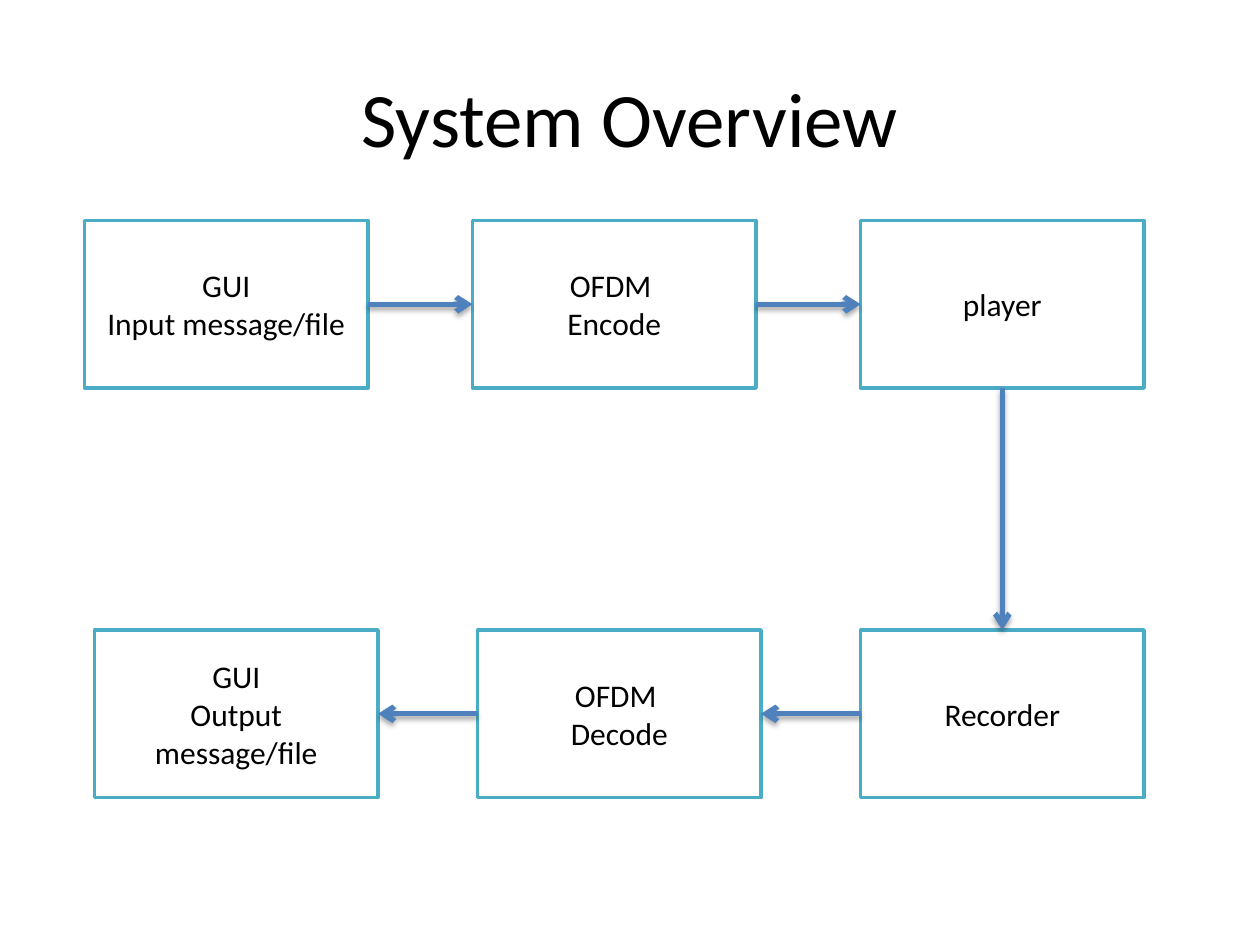
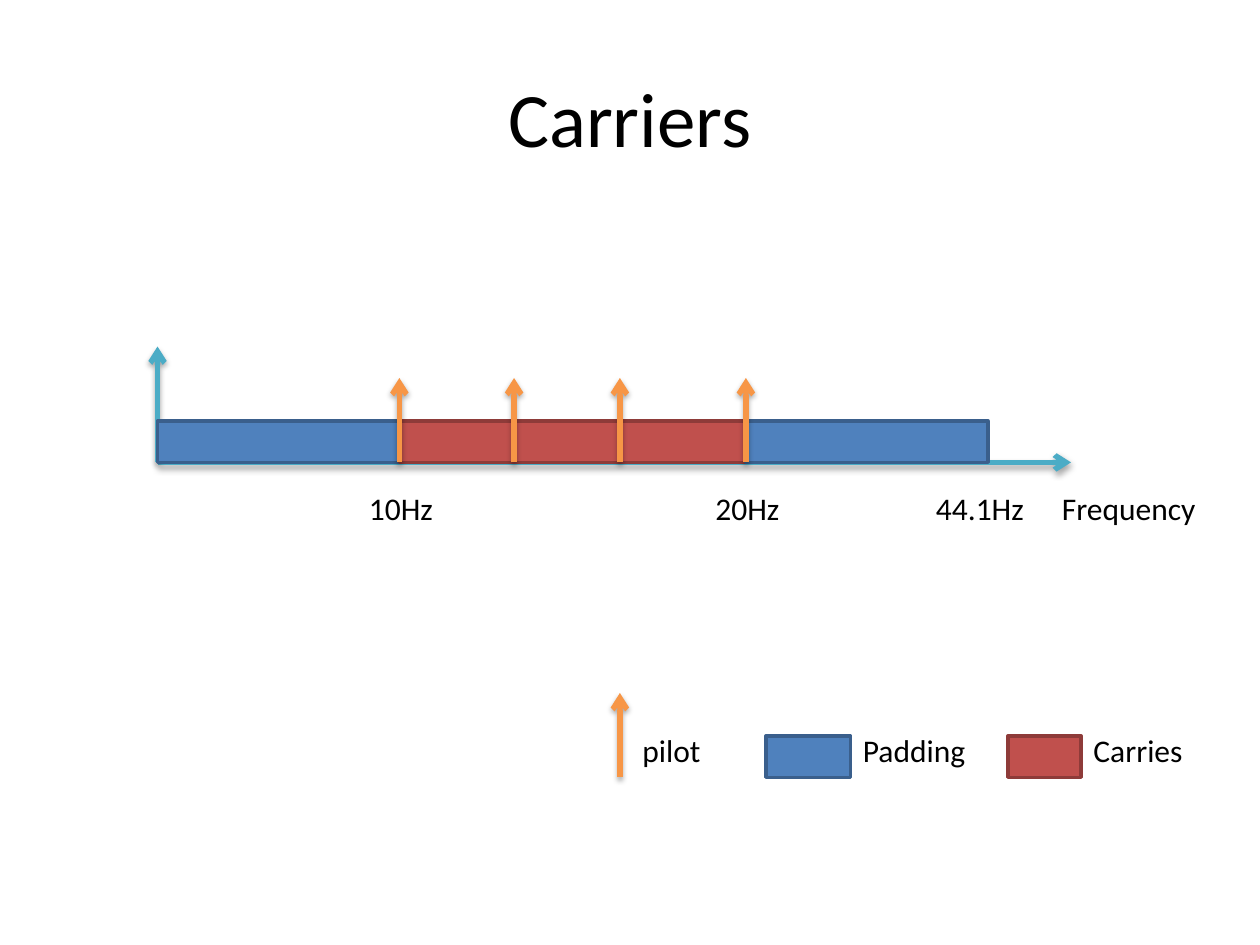
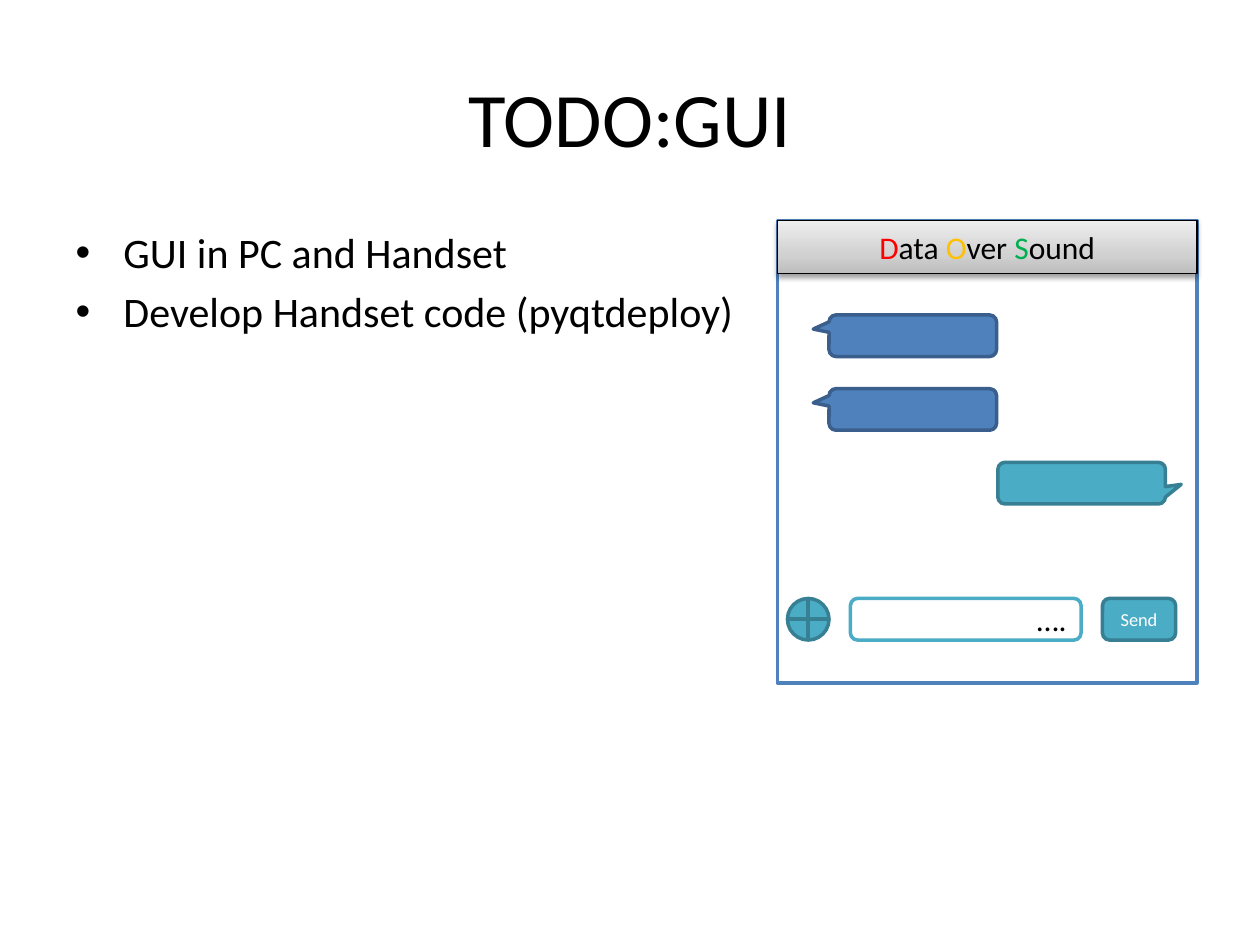
from copy import deepcopy

from lxml import etree
from pptx import Presentation
from pptx import util as u
from pptx.dml.color import RGBColor
from pptx.enum import shapes, text
from pptx.oxml import ns

FONT = "Calibri"
BLACK, WHITE = "000000", "FFFFFF"
BLUE, NAVY = "4F81BD", "3A5F8C"
RED, MAROON = "C0504D", "8E3B39"
TEAL, PINE = "4BACC6", "377F92"
ORANGE = "F79646"
KIND = shapes.MSO_SHAPE
ALIGN = text.PP_ALIGN
TOP, LEFT, BOTTOM, RIGHT = range(4)
THIRD = 0.33


def rgb(code):
    return RGBColor.from_string(code)


def inches(*sizes):
    return [u.Inches(size) for size in sizes]


def style(font, size, color=BLACK):
    look = {"name": FONT, "size": u.Pt(size)}
    for key, value in look.items():
        setattr(font, key, value)
    font.color.rgb = rgb(color)


def shade(shape, alpha, blur=3.1, dist=1.8):
    """Give a shape a soft black shadow that falls straight down."""
    props = shape._element.spPr
    effects = etree.SubElement(props, ns.qn("a:effectLst"))
    outer = etree.SubElement(
        effects, ns.qn("a:outerShdw"), blurRad=str(u.Pt(blur)),
        dist=str(u.Pt(dist)), dir="5400000", rotWithShape="0")
    color = etree.SubElement(outer, ns.qn("a:srgbClr"), val=BLACK)
    etree.SubElement(color, ns.qn("a:alpha"), val=str(alpha * 1000))


def write(shape, words, size=18, color=BLACK, align=ALIGN.CENTER):
    frame = shape.text_frame
    frame.text = words
    for para in frame.paragraphs:
        para.alignment = align
        for run in para.runs:
            style(run.font, size, color)


def block(slide, box, fill, line, kind=KIND.RECTANGLE, width=2):
    shape = slide.shapes.add_shape(kind, *inches(*box))
    shape.fill.solid()
    shape.fill.fore_color.rgb = rgb(fill)
    shape.line.color.rgb = rgb(line)
    shape.line.width = u.Pt(width)
    shape.shadow.inherit = False
    shape.text_frame.vertical_anchor = text.MSO_ANCHOR.MIDDLE
    return shape


def arrow(slide, color, start=(0, 0), end=(1, 1)):
    wire = slide.shapes.add_connector(
        shapes.MSO_CONNECTOR.STRAIGHT, *inches(*start, *end))
    wire.line.color.rgb = rgb(color)
    wire.line.width = u.Pt(3)
    etree.SubElement(wire.line._get_or_add_ln(), ns.qn("a:tailEnd"), type="arrow")
    shade(wire, 35)
    return wire


def label(slide, words, left, top, width):
    box = slide.shapes.add_textbox(*inches(left, top, width, 0.4))
    write(box, words, align=ALIGN.LEFT)
    box.text_frame.word_wrap = False
    box.text_frame.auto_size = text.MSO_AUTO_SIZE.SHAPE_TO_FIT_TEXT


def place(shape, box):
    for key, value in zip(("left", "top", "width", "height"), inches(*box)):
        setattr(shape, key, value)


def start(deck, title, layout="Title Only"):
    slide = deck.slides.add_slide(deck.slide_layouts.get_by_name(layout))
    head = slide.shapes.title
    place(head, (0.5, 0.3, 9, 1.25))
    write(head, title, 44)
    head.text_frame.vertical_anchor = text.MSO_ANCHOR.MIDDLE
    return slide


def stages(slide, names, left, top, step):
    """Draw a row of equally spaced stage boxes."""
    row = []
    for i, name in enumerate(names):
        box = block(slide, (left + i * step, top, 2.25, 1.33), WHITE, TEAL)
        write(box, name)
        row.append(box)
    return row


def overview(deck):
    slide = start(deck, "System Overview")
    send = stages(slide, ["GUI\nInput message/file", "OFDM \nEncode", "player"],
                  0.67, 1.75, 3.08)
    take = stages(slide, ["GUI\vOutput message/file", "OFDM \nDecode", "Recorder"],
                  0.75, 5, 3.04)
    chain = send + take[::-1]
    sides = [(RIGHT, LEFT)] * 2 + [(BOTTOM, TOP)] + [(LEFT, RIGHT)] * 2
    for one, two, (out, into) in zip(chain, chain[1:], sides):
        wire = arrow(slide, BLUE)
        wire.begin_connect(one, out)
        wire.end_connect(two, into)


def spectrum(slide, left, base):
    """Draw the frequency axis, its bands, pilots and labels."""
    for end in ((left + 7.25, base), (left, base - 0.92)):
        arrow(slide, TEAL, (left, base), end)
    bands = [(0, 1.92, BLUE, NAVY), (1.92, 2.75, RED, MAROON),
             (4.67, 1.92, BLUE, NAVY)]
    for shift, width, fill, line in bands:
        block(slide, (left + shift, base - THIRD, width, THIRD), fill, line)
    for shift in (1.92, 2.83, 3.67, 4.67):
        pilot(slide, left + shift, base)
    marks = [("10Hz", 1.58, 0.72), ("20Hz", 4.33, 0.72),
             ("44.1Hz", 6.08, 0.91), ("Frequency", 7.08, 1.29)]
    for words, shift, width in marks:
        label(slide, words, left + shift, base + 0.16, width)


def pilot(slide, left, base):
    arrow(slide, ORANGE, (left, base), (left, base - 0.67))


def legend(slide, left, base):
    pilot(slide, left, base)
    label(slide, "pilot", left + 0.08, base - 0.42, 0.67)
    keys = [("Padding", 1.16, 0.67, 1.02, BLUE, NAVY),
            ("Carries", 3.08, 0.58, 0.92, RED, MAROON)]
    for words, shift, width, room, fill, line in keys:
        block(slide, (left + shift, base - THIRD, width, THIRD), fill, line)
        label(slide, words, left + shift + width, base - 0.42, room)


def carriers(deck):
    slide = start(deck, "Carriers")
    spectrum(slide, 1.25, 3.67)
    legend(slide, 4.92, 6.17)


def banner(slide, box):
    bar = block(slide, box, WHITE, BLACK, width=0.75)
    bar.fill.gradient()
    bar.fill.gradient_angle = 90
    stops = bar._element.spPr.find(".//" + ns.qn("a:gsLst"))
    stops.append(deepcopy(stops[-1]))
    tones = [(0, "BDBDBD"), (0.35, "D1D1D1"), (1, "EEEEEE")]
    for stop, (spot, tone) in zip(bar.fill.gradient_stops, tones):
        stop.position = spot
        stop.color.rgb = rgb(tone)
    bar._element.spPr.remove(bar._element.spPr.find(ns.qn("a:effectLst")))
    shade(bar, 38, dist=1.6)
    para = bar.text_frame.paragraphs[0]
    para.alignment = ALIGN.CENTER
    for word, color in (("Data ", "FF0000"), ("Over ", "FFC000"), ("Sound", "00B050")):
        for part, tint in ((word[0], color), (word[1:], BLACK)):
            run = para.add_run()
            run.text = part
            style(run.font, 18, tint)


def phone(slide, left, top):
    """Draw the mock chat window."""
    block(slide, (left, top, 3.33, 3.67), WHITE, BLUE)
    chats = [(0.41, -0.594, -0.159, BLUE, NAVY), (0.41, -0.594, -0.159, BLUE, NAVY),
             (1.75, 0.594, 0.031, TEAL, PINE)]
    for i, (shift, tipx, tipy, fill, line) in enumerate(chats):
        chat = block(slide, (left + shift, top + 0.75 + i * 0.585, 1.33, THIRD),
                     fill, line, KIND.ROUNDED_RECTANGULAR_CALLOUT)
        chat.adjustments[0], chat.adjustments[1] = tipx, tipy
    tools = top + 3
    entry = block(slide, (left + 0.58, tools, 1.83, THIRD), WHITE, TEAL,
                  KIND.ROUNDED_RECTANGLE)
    write(entry, "….", align=ALIGN.RIGHT)
    block(slide, (left + 0.08, tools, THIRD, THIRD), TEAL, PINE, KIND.FLOWCHART_OR)
    button = block(slide, (left + 2.58, tools, 0.58, THIRD), TEAL, PINE,
                   KIND.ROUNDED_RECTANGLE)
    write(button, "Send", 10.5, WHITE)
    banner(slide, (left, top, 3.33, 0.42))


def todo(deck):
    slide = start(deck, "TODO:GUI", "Title and Content")
    body = slide.placeholders[1]
    place(body, (0.5, 1.75, 9, 4.95))
    write(body, "GUI in PC and Handset\nDevelop Handset code (pyqtdeploy)",
          24, align=ALIGN.LEFT)
    for para in body.text_frame.paragraphs:
        props = para._p.get_or_add_pPr()
        for key, size in (("marL", 0.38), ("indent", -0.38)):
            props.set(key, str(u.Inches(size)))
    phone(slide, 6.17, 1.75)


def main():
    deck = Presentation()
    deck.slide_width, deck.slide_height = inches(10, 7.5)
    for build in (overview, carriers, todo):
        build(deck)
    deck.save("out.pptx")


if __name__ == "__main__":
    main()
